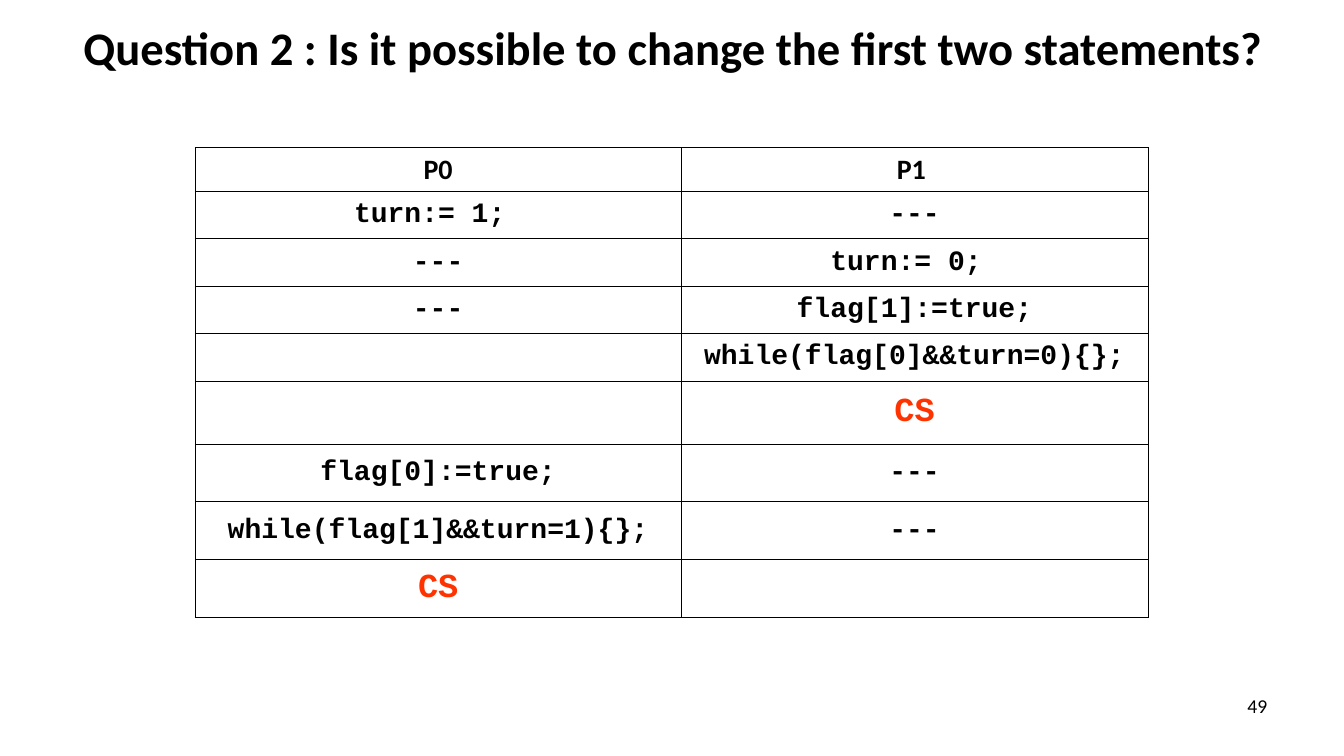
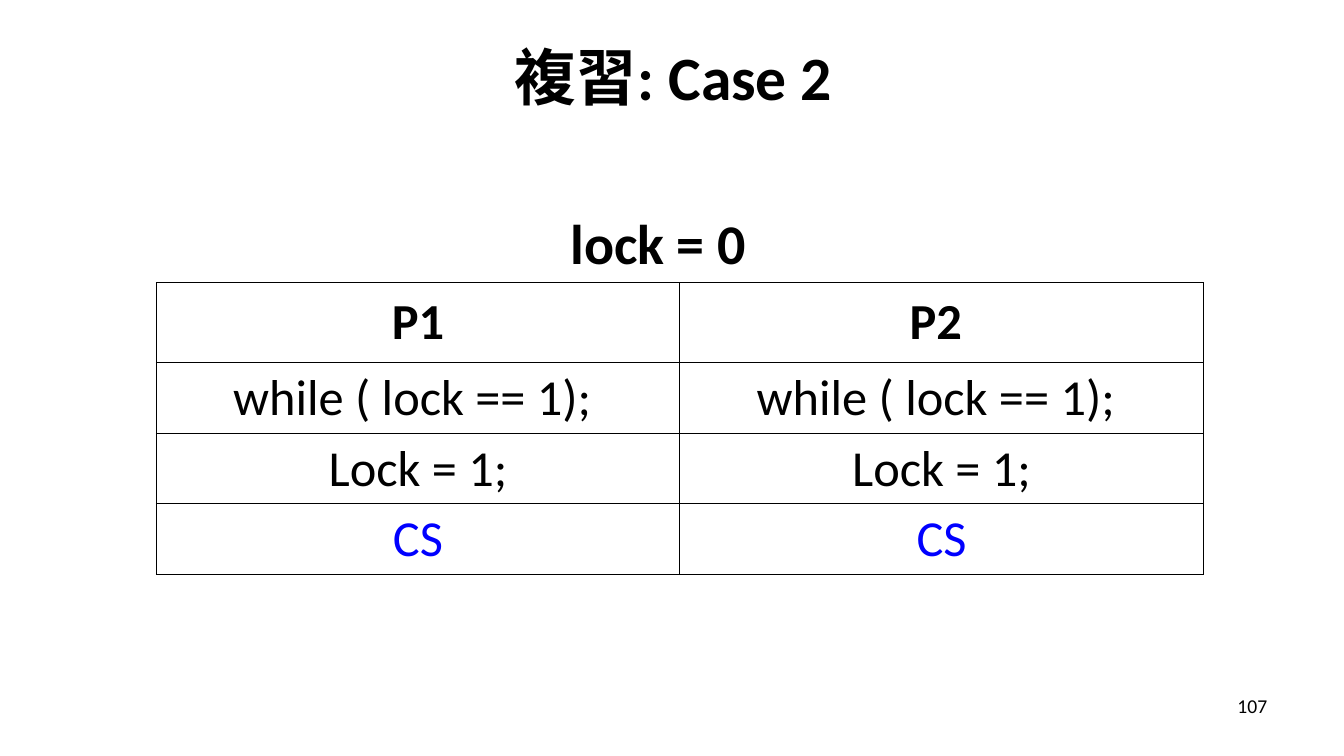
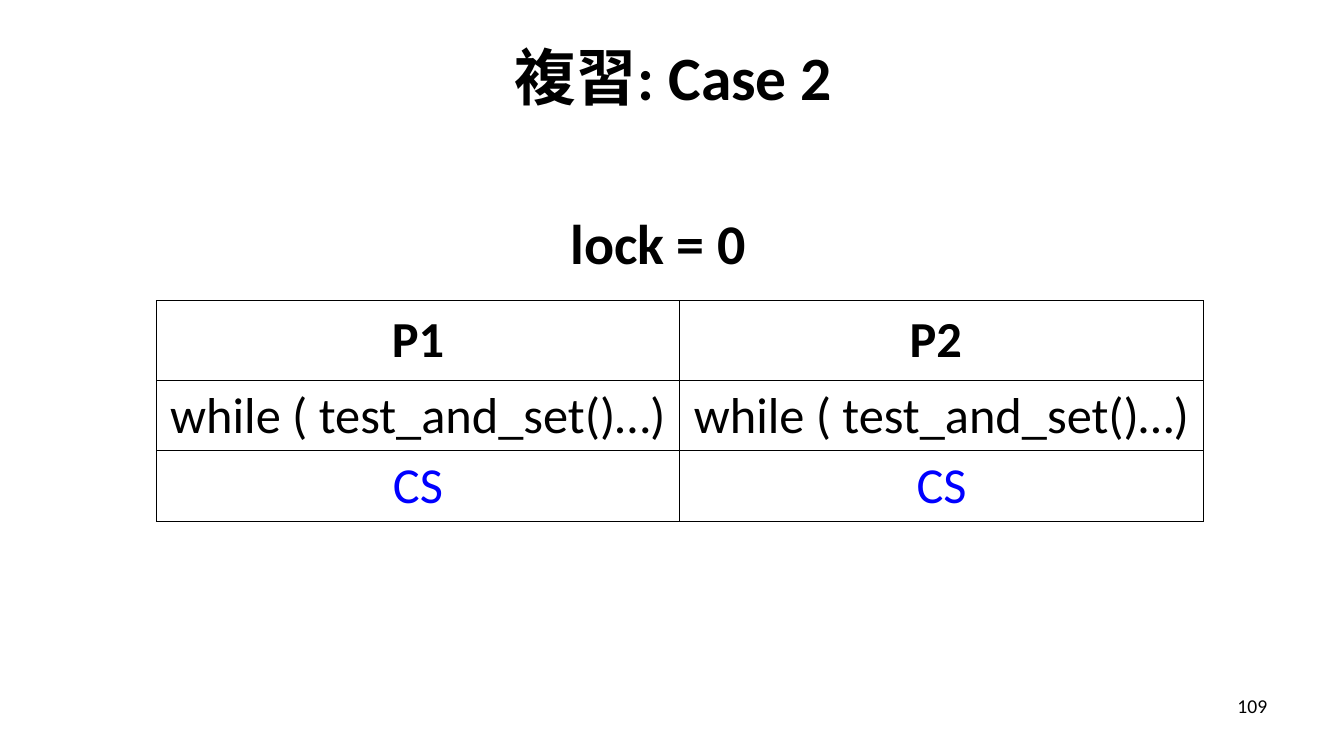
from lxml import etree
from pptx import Presentation
from pptx.dml.color import RGBColor
from pptx.enum import text
from pptx.oxml import ns
from pptx.util import Pt

BLACK = RGBColor(0x00, 0x00, 0x00)
ORANGE = RGBColor(0xFF, 0x33, 0x00)
BLUE = RGBColor(0x00, 0x00, 0xFF)
SANS = "Calibri"
MONO = "Courier New"
TITLE_ONLY = 5
IDLE = "---"
CRITICAL = "CS"
CENTER = text.PP_ALIGN.CENTER


def add_run(paragraph, content, size, font=SANS, color=BLACK, bold=False):
    run = paragraph.add_run()
    run.text = content
    run.font.name = font
    run.font.size = Pt(size)
    run.font.bold = bold
    run.font.color.rgb = color


def place(shape, left, top, width, height):
    shape.left, shape.top = Pt(left), Pt(top)
    shape.width, shape.height = Pt(width), Pt(height)


def add_text(slide, content, box, size, align=text.PP_ALIGN.LEFT, bold=False):
    shape = slide.shapes.add_textbox(*map(Pt, box))
    frame = shape.text_frame
    frame.word_wrap = True
    paragraph = frame.paragraphs[0]
    paragraph.alignment = align
    add_run(paragraph, content, size, bold=bold)


def add_slide(presentation, title, number, title_size=44):
    """Add a slide with its title and page number."""
    slide = presentation.slides.add_slide(presentation.slide_layouts[TITLE_ONLY])
    frame = slide.shapes.title.text_frame
    frame.auto_size = text.MSO_AUTO_SIZE.NONE
    frame.vertical_anchor = text.MSO_ANCHOR.MIDDLE
    paragraph = frame.paragraphs[0]
    paragraph.alignment = CENTER
    add_run(paragraph, title, title_size, bold=True)
    add_text(slide, str(number), (688.3, 491.8, 224, 37.4), 14, text.PP_ALIGN.RIGHT)
    return slide


def set_borders(cell):
    properties = cell._tc.get_or_add_tcPr()
    for index, side in enumerate(("a:lnL", "a:lnR", "a:lnT", "a:lnB")):
        line = etree.Element(ns.qn(side), w=str(Pt(0.75)))
        fill = etree.SubElement(line, ns.qn("a:solidFill"))
        etree.SubElement(fill, ns.qn("a:srgbClr"), val=str(BLACK))
        properties.insert(index, line)


def add_grid(slide, rows, left, top, widths, heights, style, side_margin=7.2):
    """Add a bordered table; style(row, content) gives the run format of a cell."""
    table = slide.shapes.add_table(
        len(rows), len(widths), Pt(left), Pt(top), Pt(sum(widths)), Pt(sum(heights))
    ).table
    table.first_row = table.horz_banding = False
    for column, width in zip(table.columns, widths):
        column.width = Pt(width)
    for row, height in zip(table.rows, heights):
        row.height = Pt(height)
    for row_index, contents in enumerate(rows):
        for column_index, content in enumerate(contents):
            cell = table.cell(row_index, column_index)
            cell.fill.background()
            set_borders(cell)
            cell.vertical_anchor = text.MSO_ANCHOR.MIDDLE
            cell.margin_left = cell.margin_right = Pt(side_margin)
            if content:
                paragraph = cell.text_frame.paragraphs[0]
                paragraph.alignment = CENTER
                add_run(paragraph, content, **style(row_index, content))


def trace_style(row, content):
    critical = content == CRITICAL
    return {
        "size": 24 if critical else 20,
        "font": MONO if row else SANS,
        "color": ORANGE if critical else BLACK,
        "bold": True,
    }


def case_style(row, content):
    return {
        "size": 36,
        "color": BLUE if content == CRITICAL else BLACK,
        "bold": row == 0,
    }


def add_question_slide(presentation):
    slide = add_slide(
        presentation,
        "Question 2 : Is it possible to change the first two statements?",
        49,
        title_size=33.3,
    )
    frame = slide.shapes.title.text_frame
    frame.vertical_anchor = text.MSO_ANCHOR.TOP
    frame.margin_top = 0
    frame.paragraphs[0].line_spacing = 1.1
    rows = [
        ("P0", "P1 "),
        ("turn:= 1; ", IDLE),
        (IDLE, "turn:= 0; "),
        (IDLE, "flag[1]:=true;"),
        ("", "while(flag[0]&&turn=0){};"),
        ("", CRITICAL),
        ("flag[0]:=true;", IDLE),
        ("while(flag[1]&&turn=1){};", IDLE),
        (CRITICAL, ""),
    ]
    heights = [28] + [33.9] * 4 + [45] + [41.3] * 3
    add_grid(slide, rows, 139.5, 105.5, (347, 333.5), heights, trace_style)


def add_case_slide(presentation, number, top, statements):
    """Add a review slide where both processes run the same statements."""
    slide = add_slide(presentation, "複習: Case 2", number)
    rows = [("P1", "P2 ")] + [(line, line) for line in (*statements, CRITICAL)]
    heights = [57] + [44] * (len(rows) - 1)
    add_grid(slide, rows, 111.6, top, (374, 374), heights, case_style, 9.6)
    add_text(slide, "lock = 0", (400.3, 145.4, 169.2, 55.4), 40, bold=True)


def main():
    presentation = Presentation()
    presentation.slide_width, presentation.slide_height = Pt(960), Pt(540)
    layout_title = presentation.slide_layouts[TITLE_ONLY].placeholders[0]
    place(layout_title, 49, 9.4, 864, 90)
    add_question_slide(presentation)
    add_case_slide(presentation, 107, 202, ("while ( lock == 1); ", "Lock = 1;"))
    add_case_slide(presentation, 109, 214.6, ("while ( test_and_set()…) ",))
    presentation.save("out.pptx")


if __name__ == "__main__":
    main()
